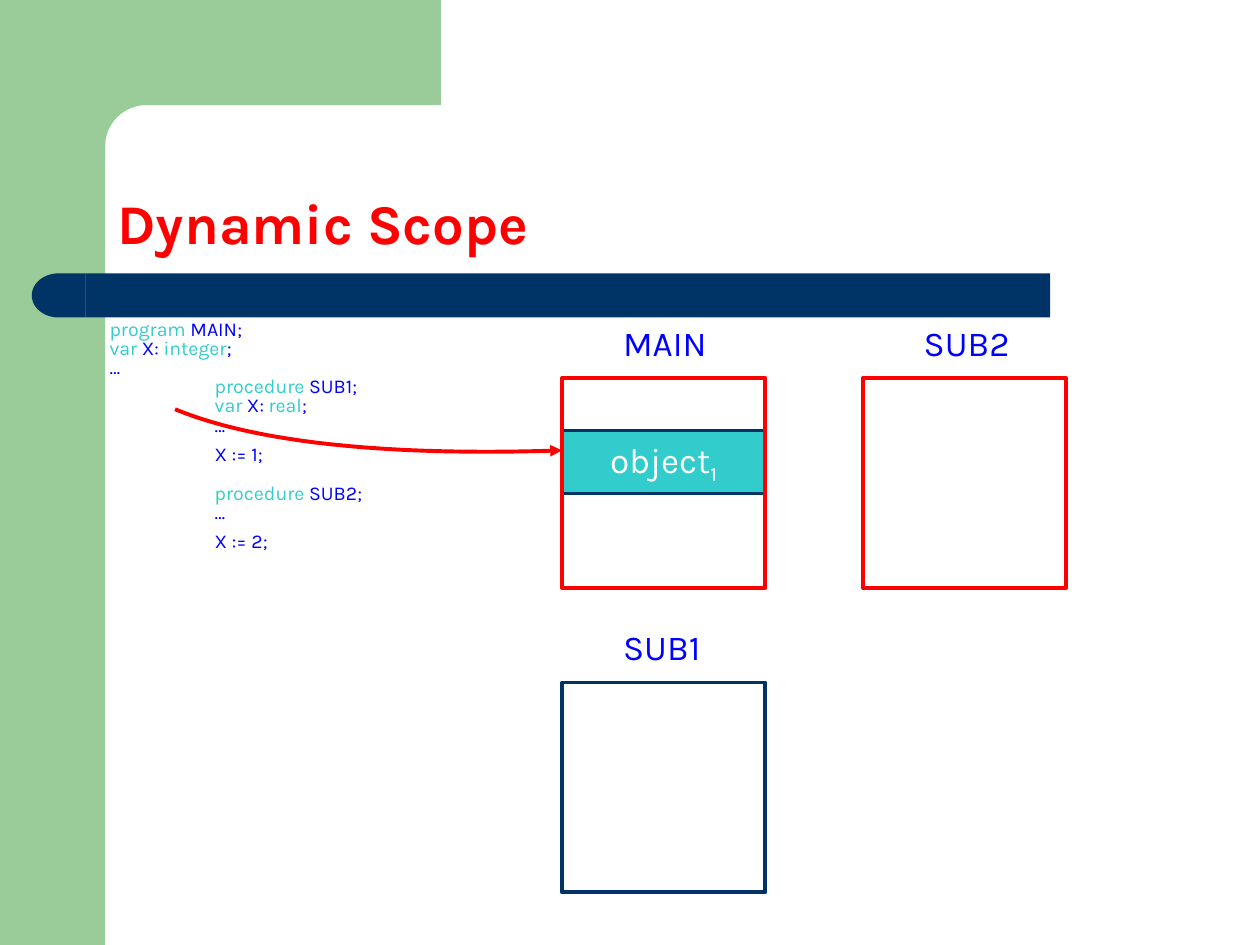
from math import cos, pi, sin

from lxml import etree
from pptx import Presentation
from pptx.dml.color import RGBColor
from pptx.enum.shapes import MSO_SHAPE
from pptx.enum.text import MSO_ANCHOR, PP_ALIGN
from pptx.oxml.ns import qn
from pptx.util import Cm, Pt

RECT, DELAY = MSO_SHAPE.RECTANGLE, MSO_SHAPE.FLOWCHART_DELAY
TOP, MIDDLE, BOTTOM = MSO_ANCHOR.TOP, MSO_ANCHOR.MIDDLE, MSO_ANCHOR.BOTTOM
CENTER = PP_ALIGN.CENTER

FONT = "Karla"
GREEN, NAVY, TEAL = "99CC99", "003366", "33CCCC"
RED, BLUE, WHITE = "FF0000", "0000FF", "FFFFFF"

CODE_SIZE, CODE_PITCH = 11.2, 10.95
# Each line: indented, space before in points, runs of (text, colour)
CODE = [
    (False, 0, [("program ", TEAL), ("MAIN;", BLUE)]),
    (False, 0, [("var ", TEAL), ("X: ", BLUE), ("integer", TEAL), (";", BLUE)]),
    (False, 0, [("…", BLUE)]),
    (True, 0, [("procedure", TEAL), (" SUB1;", BLUE)]),
    (True, 0, [("var", TEAL), (" X: ", BLUE), ("real", TEAL), (";", BLUE)]),
    (True, 0, [("…", BLUE)]),
    (True, 6, [("X := 1;", BLUE)]),
    (True, CODE_PITCH, [("procedure", TEAL), (" SUB2;", BLUE)]),
    (True, 0, [("…", BLUE)]),
    (True, 6, [("X := 2;", BLUE)]),
]


def rgb(color):
    return RGBColor.from_string(color)


def paint(s, fill=None, line=None):
    s.shadow.inherit = False
    if fill:
        s.fill.solid()
        s.fill.fore_color.rgb = rgb(fill)
    else:
        s.fill.background()
    if line:
        s.line.color.rgb = rgb(line)
        s.line.width = Pt(2.25)
    else:
        s.line.fill.background()


def add_box(slide, kind, x, y, w, h, fill=None, line=None):
    s = slide.shapes.add_shape(kind, Cm(x), Cm(y), Cm(w), Cm(h))
    paint(s, fill, line)
    return s


def add_path(slide, points, close):
    (x, y), *rest = [(Cm(px), Cm(py)) for px, py in points]
    builder = slide.shapes.build_freeform(x, y)
    builder.add_line_segments(rest, close=close)
    return builder.convert_to_shape()


def add_run(p, text, size, color, bold=False):
    r = p.add_run()
    r.text = text
    r.font.name, r.font.size, r.font.bold = FONT, Pt(size), bold
    r.font.color.rgb = rgb(color)
    return r


def add_text(slide, x, y, w, h, anchor=TOP):
    tf = slide.shapes.add_textbox(Cm(x), Cm(y), Cm(w), Cm(h)).text_frame
    tf.word_wrap = True
    tf.vertical_anchor = anchor
    return tf


def add_frame(slide, x, y, w, h):
    """Green side bar and top corner with a rounded inner edge."""
    bar, edge, radius = 2.12, 2.12, 0.83
    add_box(slide, RECT, x, y, bar, h, GREEN)
    cx, cy = x + bar + radius, y + edge + radius
    steps = 12
    arc = [(cx - radius * sin(i * pi / 2 / steps),
            cy - radius * cos(i * pi / 2 / steps)) for i in range(steps + 1)]
    outline = [(x + w, y), (x + w, y + edge), *arc, (x + bar, cy + 0.3),
               (x + 1.27, cy + 0.3), (x + 1.27, y)]
    paint(add_path(slide, outline, True), GREEN)


def add_title(slide, x, y, w, h):
    """Title above a navy band with a round left end."""
    cap, band = 1.08, 0.89
    band_y = y + h - band
    add_box(slide, RECT, x + cap, band_y, w - cap, band, NAVY)
    add_box(slide, DELAY, x, band_y, cap, band, NAVY).rotation = 180
    tf = add_text(slide, x + 1.48, y, 22, 3.18, BOTTOM)
    p = tf.paragraphs[0]
    p.line_spacing = 0.9
    add_run(p, "Dynamic Scope", 32, RED, True)


def add_code(slide, x, y, w, h):
    tf = add_text(slide, x, y, w, h)
    for i, (indented, gap, runs) in enumerate(CODE):
        p = tf.add_paragraph() if i else tf.paragraphs[0]
        p.line_spacing = Pt(CODE_PITCH)
        if gap:
            p.space_before = Pt(gap)
        if indented:
            p._p.get_or_add_pPr().set("marL", str(Cm(2.12)))
        for text, color in runs:
            add_run(p, text, CODE_SIZE, color)


def add_object(slide, x, y, w, h):
    s = add_box(slide, RECT, x, y, w, h, TEAL, NAVY)
    tf = s.text_frame
    tf.vertical_anchor = MIDDLE
    p = tf.paragraphs[0]
    p.alignment = CENTER
    add_run(p, "object", 20, WHITE)
    r = add_run(p, "1", 20, WHITE)
    r.font._element.set("baseline", "-25000")


def add_scope(slide, name, x, y, w, h, line):
    """Scope panel with its name above."""
    add_box(slide, RECT, x, y, w, h, line=line)
    tf = add_text(slide, x + 0.98, y - 1.27, 3, 1.12)
    add_run(tf.paragraphs[0], name, 20, BLUE)


def add_arrow(slide, x, y, w, h):
    """Curved arrow from the code to the object, sampled from a cubic."""
    controls = [(0, 0), (0.17, 0.66), (0.47, 1.17), (1, 1)]
    steps = 24
    points = []
    for i in range(steps + 1):
        t = i / steps
        weights = ((1 - t) ** 3, 3 * t * (1 - t) ** 2, 3 * t * t * (1 - t), t ** 3)
        u, v = (sum(k * c[axis] for k, c in zip(weights, controls))
                for axis in (0, 1))
        points.append((x + u * w, y + v * h))
    s = add_path(slide, points, False)
    paint(s, line=RED)
    etree.SubElement(s.line._get_or_add_ln(), qn("a:tailEnd"), type="triangle")


def main():
    prs = Presentation()
    prs.slide_width, prs.slide_height = Cm(25.4), Cm(19.05)
    slide = prs.slides.add_slide(prs.slide_layouts[6])

    # Decoration, title and code
    add_frame(slide, 0, 0, 8.89, 19.05)
    add_title(slide, 0.64, 2.12, 20.53, 4.28)
    add_code(slide, 1.96, 6.35, 9, 5.5)
    add_arrow(slide, 3.53, 8.25, 7.8, 0.83)

    # Scopes on a grid
    left, top, w, h = 11.33, 7.62, 4.1, 4.23
    col, row = 6.06, 6.14
    add_object(slide, left, top + 1.06, w, 1.27)
    add_scope(slide, "MAIN", left, top, w, h, RED)
    add_scope(slide, "SUB1", left, top + row, w, h, NAVY)
    add_scope(slide, "SUB2", left + col, top, w, h, RED)

    prs.save("out.pptx")


if __name__ == "__main__":
    main()
